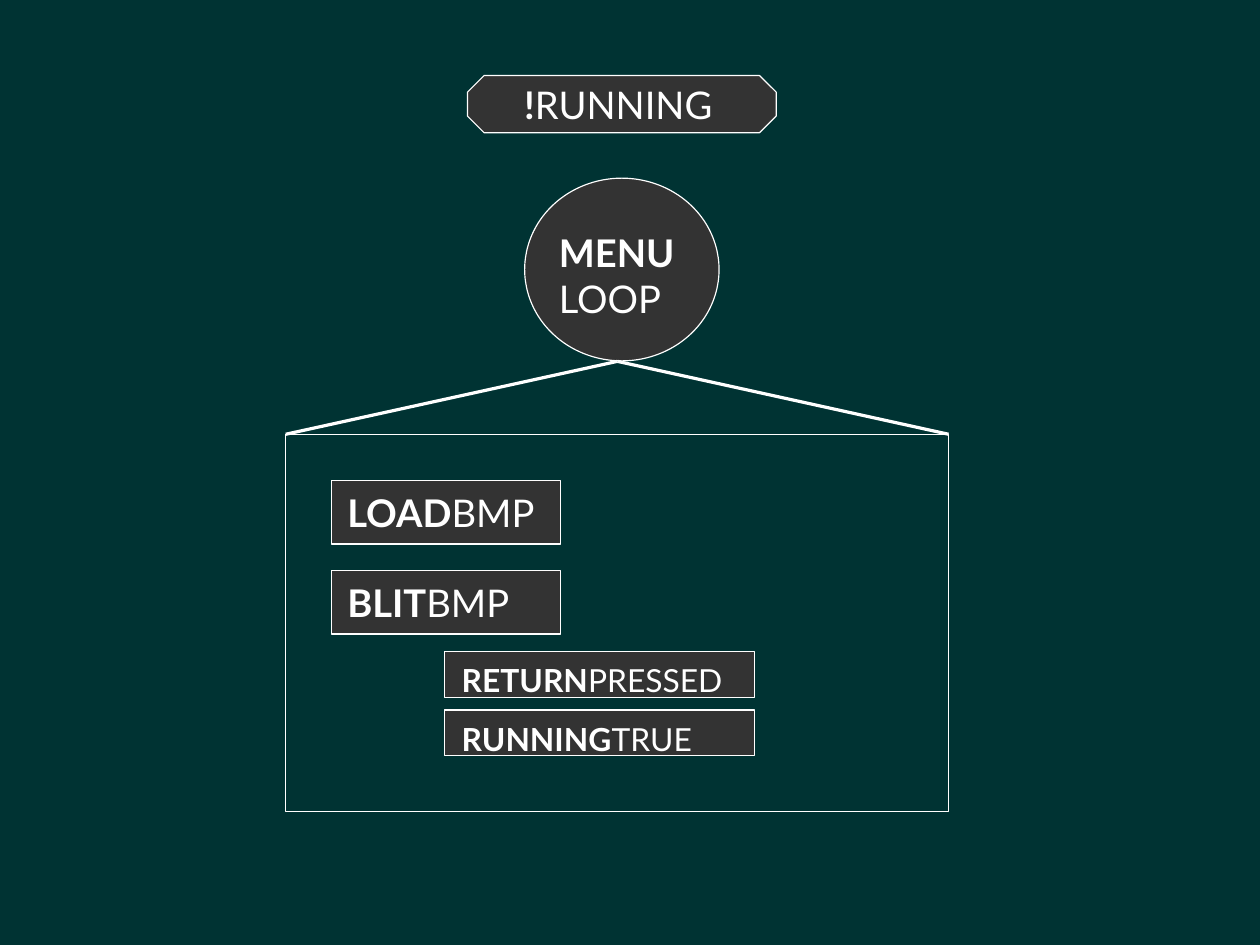
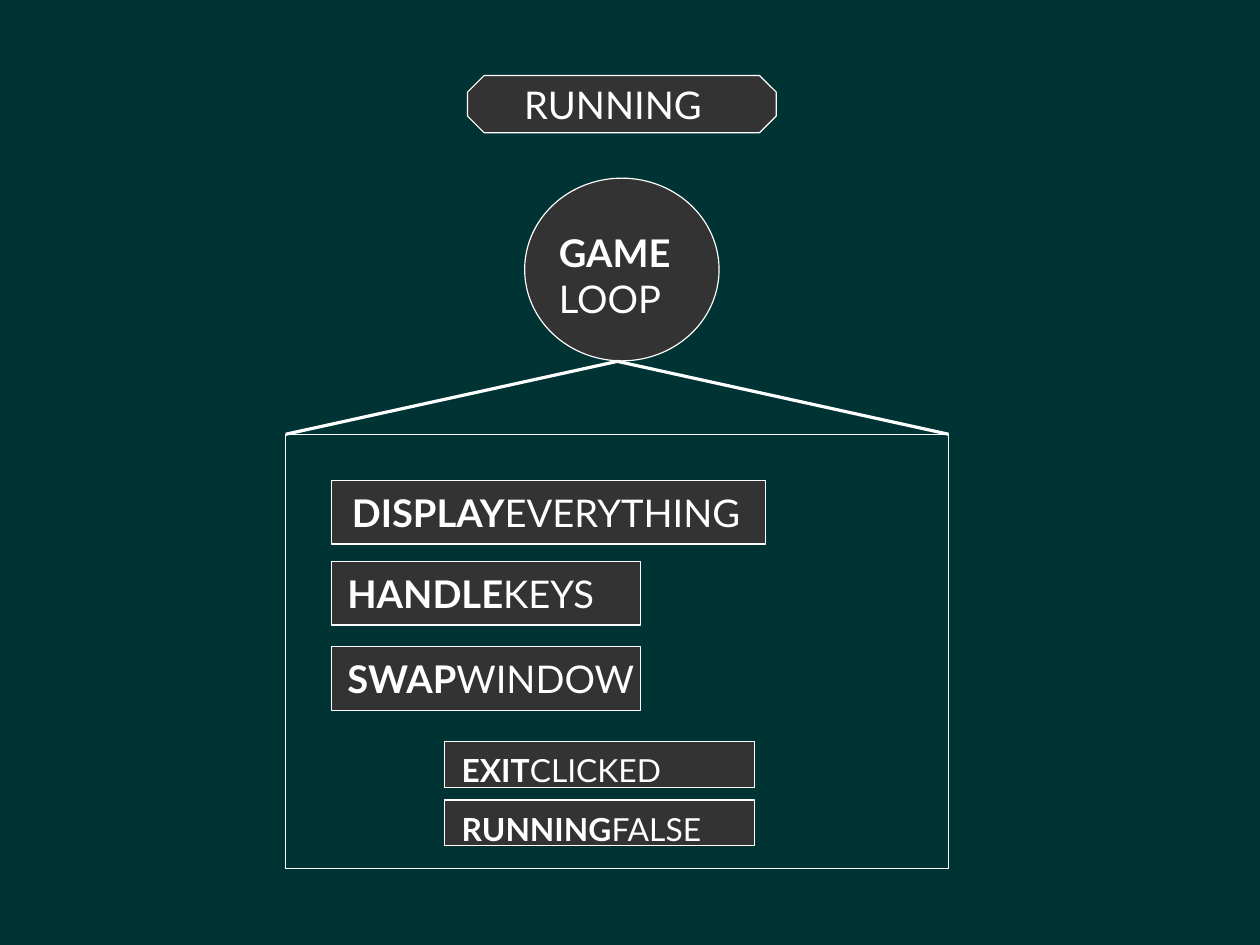
from dataclasses import dataclass

from pptx import Presentation
from pptx.dml.color import RGBColor
from pptx.enum.shapes import MSO_CONNECTOR, MSO_SHAPE
from pptx.enum.text import MSO_ANCHOR, PP_ALIGN
from pptx.oxml.ns import qn
from pptx.util import Cm, Pt
from lxml import etree

RECT = MSO_SHAPE.RECTANGLE
OCTAGON = MSO_SHAPE.OCTAGON
OVAL = MSO_SHAPE.OVAL
STRAIGHT = MSO_CONNECTOR.STRAIGHT
TOP = MSO_ANCHOR.TOP
LEFT = PP_ALIGN.LEFT

BACKGROUND, BOX_FILL, WHITE = "003333", "333333", "FFFFFF"
FONT = "Lato"
BLANK = 6

# Shared geometry, in centimetres
PANEL_X, PANEL_Y, PANEL_W = 6.35, 9.65, 14.73
APEX_X, APEX_Y = 13.72, 8.03
CALL_X, CALL_H = 7.37, 1.42
EVENT_X, EVENT_W, EVENT_H = 9.88, 6.88, 1.02
EVENT_STEP = 1.3


@dataclass(frozen=True)
class Label:
    """Text with a bold start and a regular rest."""
    bold: str
    regular: str


@dataclass(frozen=True)
class Call:
    label: Label
    top: float
    width: float
    indent: float = 0.1


@dataclass(frozen=True)
class LoopSlide:
    state: Label
    loop: str
    panel_height: float
    calls: tuple[Call, ...]
    events_top: float
    events: tuple[Label, ...]


SLIDES = (
    LoopSlide(
        Label("!", "RUNNING"), "MENU", 8.38,
        (Call(Label("LOAD", "BMP"), 10.67, 5.08),
         Call(Label("BLIT", "BMP"), 12.67, 5.08)),
        14.48, (Label("RETURN", "PRESSED"), Label("RUNNING", "TRUE"))),
    LoopSlide(
        Label("", "RUNNING"), "GAME", 9.65,
        (Call(Label("DISPLAY", "EVERYTHING"), 10.67, 9.65, 0.2),
         Call(Label("HANDLE", "KEYS"), 12.47, 6.86),
         Call(Label("SWAP", "WINDOW"), 14.37, 6.86)),
        16.48, (Label("EXIT", "CLICKED"), Label("RUNNING", "FALSE"))),
)


def rgb(value: str) -> RGBColor:
    return RGBColor.from_string(value)


def add_outline(shapes, kind, x: float, y: float, w: float, h: float,
                fill: str | None = BOX_FILL):
    """Draw a shape with a white hairline."""
    sp = shapes.add_shape(kind, Cm(x), Cm(y), Cm(w), Cm(h))
    sp.shadow.inherit = False
    if fill:
        sp.fill.solid()
        sp.fill.fore_color.rgb = rgb(fill)
    else:
        sp.fill.background()
    sp.line.color.rgb = rgb(WHITE)
    sp.line.width = Pt(0)
    return sp


def add_text(shapes, x: float, y: float, w: float, h: float,
             lines: tuple[Label, ...], size: int = 24) -> None:
    """Write one paragraph per label."""
    tf = shapes.add_textbox(Cm(x), Cm(y), Cm(w), Cm(h)).text_frame
    tf.word_wrap = True
    tf.vertical_anchor = TOP
    for i, line in enumerate(lines):
        p = tf.add_paragraph() if i else tf.paragraphs[0]
        p.alignment = LEFT
        p.font.name = FONT
        p.font.size = Pt(size)
        p.font.color.rgb = rgb(WHITE)
        for text, bold in ((line.bold, True), (line.regular, False)):
            if text:
                r = p.add_run()
                r.text = text
                r.font.bold = bold


def add_line(shapes, x1: float, y1: float, x2: float, y2: float) -> None:
    line = shapes.add_connector(STRAIGHT, Cm(x1), Cm(y1), Cm(x2), Cm(y2))
    line.line.color.rgb = rgb(WHITE)
    line.line.width = Pt(0)
    etree.SubElement(line._element.spPr, qn("a:effectLst"))


def add_labelled_box(s, x: float, y: float, w: float, h: float,
                     label: Label, size: int, indent: float) -> None:
    """Group a box with its label."""
    shapes = s.shapes.add_group_shape().shapes
    add_outline(shapes, RECT, x, y, w, h)
    add_text(shapes, x + indent, y + 0.08, w + 0.4, h, (label,), size)


def add_loop_slide(prs, loop: LoopSlide) -> None:
    s = prs.slides.add_slide(prs.slide_layouts[BLANK])
    s.background.fill.solid()
    s.background.fill.fore_color.rgb = rgb(BACKGROUND)

    # State and loop name
    octagon = add_outline(s.shapes, OCTAGON, 10.39, 1.68, 6.86, 1.27)
    octagon.adjustments[0] = 0.29
    add_text(s.shapes, 11.4, 1.68, 7.1, 1.4, (loop.state,))
    add_outline(s.shapes, OVAL, 11.66, 3.96, 4.32, 4.06)
    add_text(s.shapes, 12.17, 4.98, 3.3, 2.57,
             (Label(loop.loop, ""), Label("", "LOOP")))

    # Panel hanging from the loop
    add_outline(s.shapes, RECT, PANEL_X, PANEL_Y, PANEL_W,
                loop.panel_height, None)
    for corner_x in (PANEL_X, PANEL_X + PANEL_W):
        add_line(s.shapes, APEX_X, APEX_Y, corner_x, PANEL_Y)

    # Calls, then the events that change the state
    for call in loop.calls:
        add_labelled_box(s, CALL_X, call.top, call.width, CALL_H,
                         call.label, 24, call.indent)
    for i, event in enumerate(loop.events):
        add_labelled_box(s, EVENT_X, loop.events_top + i * EVENT_STEP,
                         EVENT_W, EVENT_H, event, 20, 0.13)


def main() -> None:
    prs = Presentation()
    prs.slide_width, prs.slide_height = Cm(28), Cm(21)
    for loop in SLIDES:
        add_loop_slide(prs, loop)
    prs.save("out.pptx")


if __name__ == "__main__":
    main()
